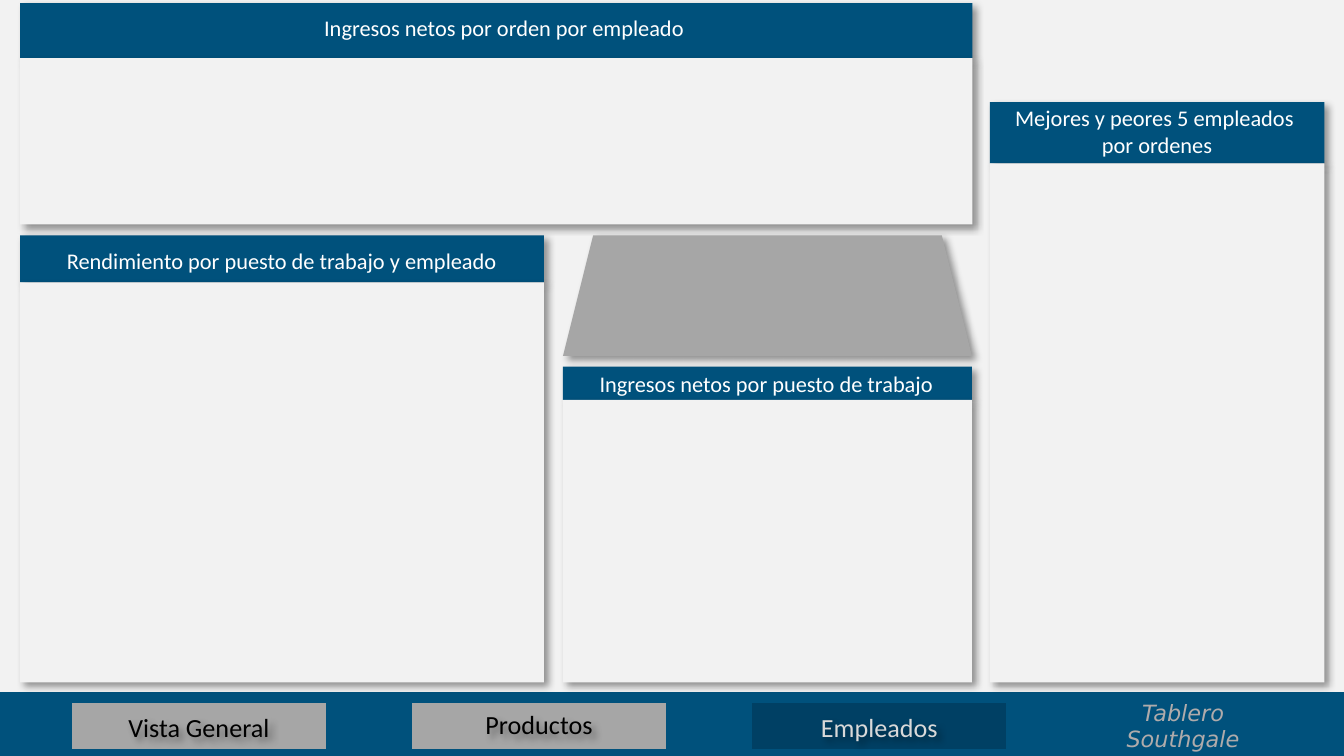
from lxml import etree
from pptx import Presentation
from pptx.dml.color import RGBColor
from pptx.enum.shapes import MSO_SHAPE
from pptx.enum.text import MSO_ANCHOR, MSO_AUTO_SIZE, PP_ALIGN
from pptx.oxml.ns import qn
from pptx.util import Cm, Pt

BLUE, NAVY, GREY, PALE = "00517C", "004064", "A6A6A6", "F2F2F2"
WHITE, BLACK, SILVER, LIGHT = "FFFFFF", "000000", "AFABAB", "D9D9D9"


def color(hex_code):
    return RGBColor.from_string(hex_code)


class Dashboard:
    """Style and drawing methods for the current slide."""

    font = "Calibri"

    def __init__(self, s):
        self.s = s

    def add_shadow(self, sp):
        sp.shadow.inherit = False
        effects = sp.element.spPr.find(qn("a:effectLst"))
        shadow = etree.SubElement(
            effects, qn("a:outerShdw"), blurRad=str(Pt(4)), dist=str(Pt(3)),
            dir=str(45 * 60000), algn="tl", rotWithShape="0")
        rgb = etree.SubElement(shadow, qn("a:srgbClr"), val=BLACK)
        etree.SubElement(rgb, qn("a:alpha"), val="40000")

    def shape(self, kind, x, y, w, h, fill, shadow=False, square=False):
        sp = self.s.shapes.add_shape(kind, Cm(x), Cm(y), Cm(w), Cm(h))
        sp.fill.solid()
        sp.fill.fore_color.rgb = color(fill)
        sp.line.fill.background()
        sp.shadow.inherit = False
        if square:
            for i in range(len(sp.adjustments)):
                sp.adjustments[i] = 0
        if shadow:
            self.add_shadow(sp)
        return sp

    def format_text(self, sp, text, size, fill, font=None, italic=False,
                    anchor=MSO_ANCHOR.TOP):
        tf = sp.text_frame
        tf.text = text
        tf.word_wrap = True
        tf.auto_size = MSO_AUTO_SIZE.SHAPE_TO_FIT_TEXT
        tf.vertical_anchor = anchor
        for p in tf.paragraphs:
            p.alignment = PP_ALIGN.CENTER
            for r in p.runs:
                r.font.name = font or self.font
                r.font.size = Pt(size)
                r.font.italic = italic
                r.font.color.rgb = color(fill)

    def text(self, text, x, y, w, h, size, fill, **style):
        sp = self.s.shapes.add_textbox(Cm(x), Cm(y), Cm(w), Cm(h))
        self.format_text(sp, text, size, fill, **style)
        return sp

    def title(self, text, x, y, w, h):
        sp = self.s.shapes.title
        sp.left, sp.top, sp.width, sp.height = Cm(x), Cm(y), Cm(w), Cm(h)
        self.format_text(sp, text, 12, SILVER, font="DejaVu Sans", italic=True)
        self.s.shapes.element.append(sp.element)  # bring to front

    def panel(self, text, x, y, w, header, bottom, text_x, text_y, text_h,
              anchor=MSO_ANCHOR.TOP):
        self.shape(MSO_SHAPE.ROUND_2_SAME_RECTANGLE, x, y, w, header, BLUE,
                   shadow=True, square=True)
        self.shape(MSO_SHAPE.SNIP_ROUND_RECTANGLE, x, y + header, w,
                   bottom - y - header, PALE, shadow=True, square=True)
        self.text(text, text_x, text_y, w, text_h, 12, WHITE, anchor=anchor)

    def button(self, text, x, text_y, fill, text_fill):
        self.shape(MSO_SHAPE.PARALLELOGRAM, x, 13.28, 4.8, 0.88, fill,
                   square=True)
        sp = self.text(text, x, text_y, 4.8, 0.85, 14, text_fill)
        self.add_shadow(sp)


def main():
    prs = Presentation()
    prs.slide_width, prs.slide_height = Cm(25.4), Cm(14.29)
    board = Dashboard(prs.slides.add_slide(prs.slide_layouts[5]))

    # Background and navigation bar
    board.shape(MSO_SHAPE.RECTANGLE, 0, 13.08, 25.4, 1.24, BLUE)
    board.shape(MSO_SHAPE.RECTANGLE, 0, -0.05, 25.4, 13.13, PALE)

    # Panels
    bottom = 12.9
    middle = MSO_ANCHOR.MIDDLE
    board.panel("Rendimiento por puesto de trabajo y empleado",
                0.38, 4.45, 9.9, 0.89, bottom, 0.38, 4.55, 0.77)
    board.panel("Ingresos netos por orden por empleado",
                0.38, 0.06, 18, 1.04, 4.24, 0.53, 0.15, 0.77)
    board.panel("Ingresos netos por puesto de trabajo",
                10.64, 6.93, 7.73, 0.63, bottom, 10.62, 6.87, 0.77, middle)
    board.panel("Mejores y peores 5 empleados \npor ordenes",
                18.71, 1.93, 6.32, 1.16, bottom, 18.71, 1.83, 1.28, middle)
    board.shape(MSO_SHAPE.TRAPEZOID, 10.64, 4.45, 7.73, 2.28, GREY, shadow=True)

    # Navigation buttons
    buttons = [("Vista General", 13.32, GREY, BLACK),
               ("Productos", 13.27, GREY, BLACK),
               ("Empleados", 13.32, NAVY, LIGHT)]
    for i, (label, text_y, fill, text_fill) in enumerate(buttons):
        board.button(label, 1.36 + i * 6.43, text_y, fill, text_fill)

    # Dashboard name
    board.title("Tablero\nSouthgale", 20.95, 13.08, 2.82, 1.28)

    prs.save("out.pptx")


if __name__ == "__main__":
    main()
